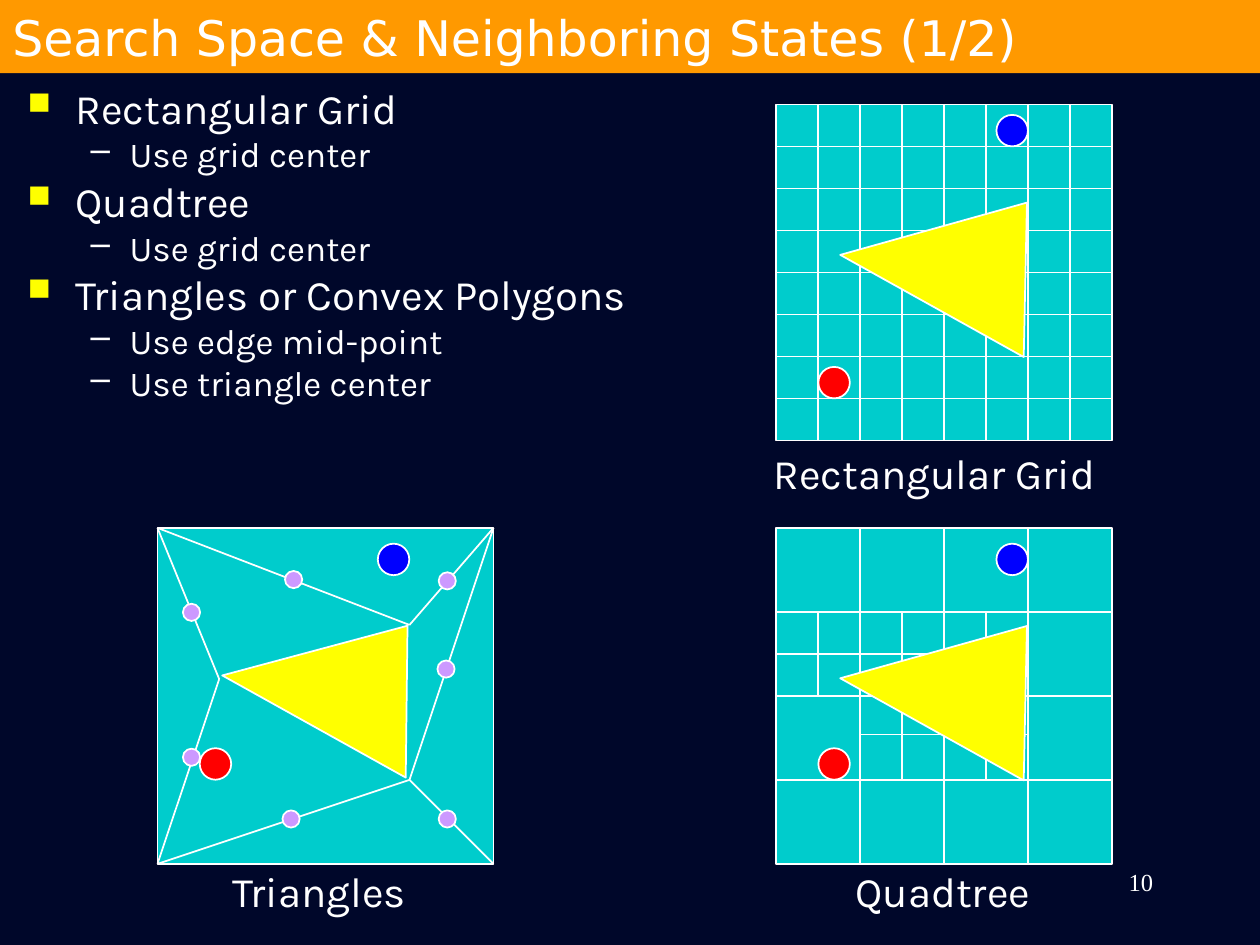
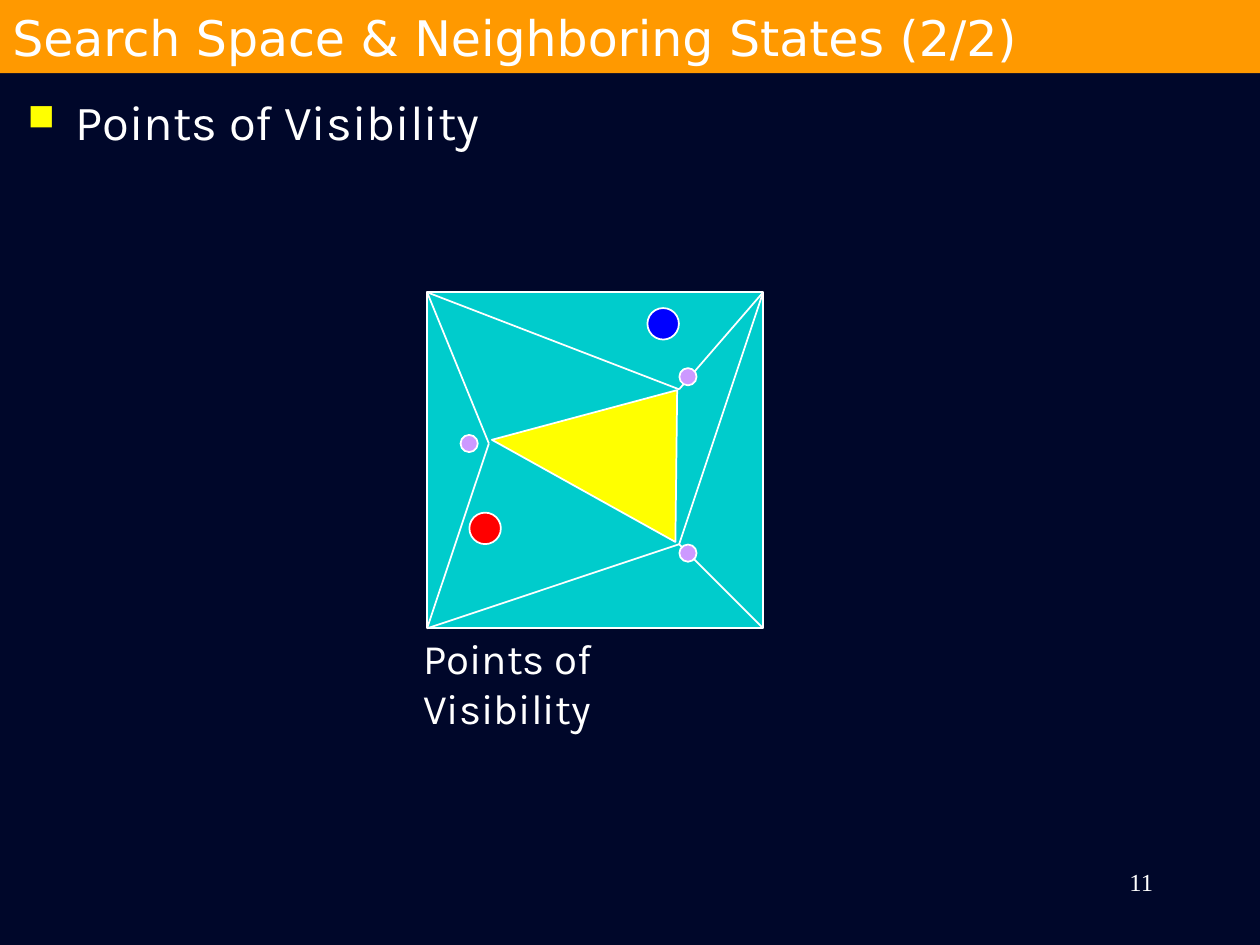
from lxml import etree
from pptx import Presentation
from pptx import util as u
from pptx.dml.color import RGBColor
from pptx.enum import shapes, text
from pptx.oxml.ns import qn

# Shared look
COLOURS = {
    "night": "00072A", "band": "FF9900", "white": "FFFFFF", "bullet": "FFFF00",
    "space": "00CCCC", "obstacle": "FFFF00", "start": "FF0000", "goal": "0000FF",
    "state": "CC99FF",
}
RGB = {name: RGBColor.from_string(value) for name, value in COLOURS.items()}
TITLE_FONT, BODY_FONT, NUMBER_FONT = "DejaVu Sans", "Karla", "Times New Roman"
WIDTH, HEIGHT = 10, 7.5
CELL = 1 / 3  # side of one grid cell, in inches
CELLS = 8     # cells along each side of a search space

# Bullet levels: left margin, hanging indent, character, colour, size in percent
LEVELS = [(0.38, -0.38, "■", "bullet", 75), (0.81, -0.31, "–", "white", 100)]

# Dividing lines in cells from the top left corner of a search space
rectangular = [line for n in range(1, CELLS)
               for line in ((n, 0, n, CELLS), (0, n, CELLS, n))]
quadtree = [line for n in (2, 4, 6)
            for line in ((n, 0, n, CELLS), (0, n, CELLS, n))]
quadtree += [(0, 3, 6, 3), (1, 2, 1, 4), (3, 2, 3, 6), (5, 2, 5, 6), (2, 4.92, 6, 4.92)]
triangles = [(0, 0, 1.47, 3.6), (1.47, 3.6, 0, 8), (0, 8, 6, 6), (6, 6, 8, 8),
             (6, 6, 8, 0), (6, 2.31, 8, 0), (6, 2.31, 0, 0)]

# Neighbouring states, as centres in cells
edge_states = [(0.81, 5.46), (0.81, 2.01), (3.24, 1.23), (6.9, 1.26),
               (3.18, 6.93), (6.9, 6.93), (6.87, 3.36)]
visible_states = [(1, 3.6), (6.21, 6.21), (6.21, 2.01)]

# Search spaces: left, top, lines, states, start row, goal row, obstacle height,
# then caption with its left, top and width
PAGES = [
    {"number": 10, "title": "Search Space & Neighboring States (1/2)",
     "spacing": 0.8, "sizes": (24, 20), "before": (6, 5),
     "points": [(0, "Rectangular Grid"), (1, "Use grid center"),
                (0, "Quadtree"), (1, "Use grid center"),
                (0, "Triangles or Convex Polygons"),
                (1, "Use edge mid-point"), (1, "Use triangle center")],
     "spaces": [
         (6.16, 0.83, rectangular, [], 6.62, 0.62, 3.25, "Rectangular Grid", 6.04, 3.5, 2.85),
         (6.16, 4.19, quadtree, [], 5.62, 0.75, 3.25, "Quadtree", 6.69, 6.82, 1.69),
         (1.25, 4.19, triangles, edge_states, 5.62, 0.75, 3.18, "Triangles", 1.75, 6.82, 1.64)]},
    {"number": 11, "title": "Search Space & Neighboring States (2/2)",
     "spacing": 1, "sizes": (28,), "before": (7,),
     "points": [(0, "Points of Visibility")],
     "spaces": [
         (3.39, 2.32, triangles, visible_states, 5.62, 0.75, 3.18,
          "Points of Visibility", 3.26, 4.97, 2.9)]},
]


def add_figure(slide, kind, left, top, width, height, fill, outlined=True):
    figure = slide.shapes.add_shape(kind, *map(u.Inches, (left, top, width, height)))
    figure.shadow.inherit = False
    figure.fill.solid()
    figure.fill.fore_color.rgb = RGB[fill]
    if outlined:
        figure.line.color.rgb = RGB["white"]
        figure.line.width = u.Pt(1)
    else:
        figure.line.fill.background()
    return figure


def write(paragraph, words, font, size):
    paragraph.text = words
    paragraph.font.name = font
    paragraph.font.size = u.Pt(size)
    paragraph.font.color.rgb = RGB["white"]


prs = Presentation()
prs.slide_width, prs.slide_height = u.Inches(WIDTH), u.Inches(HEIGHT)
backdrop = prs.slide_master.background.fill
backdrop.solid()
backdrop.fore_color.rgb = RGB["night"]

for page in PAGES:
    slide = prs.slides.add_slide(prs.slide_layouts[6])

    # Bulleted points
    body = slide.shapes.add_textbox(*map(u.Inches, (0.12, 0.68, 9.75, 2.82))).text_frame
    body.word_wrap = True
    for i, (level, words) in enumerate(page["points"]):
        point = body.add_paragraph() if i else body.paragraphs[0]
        point.level = level
        point.line_spacing = page["spacing"]
        point.space_before = u.Pt(page["before"][level])
        margin, hanging, mark, colour, percent = LEVELS[level]
        props = point._p.get_or_add_pPr()
        props.set("marL", str(u.Inches(margin)))
        props.set("indent", str(u.Inches(hanging)))
        tint = etree.SubElement(props, qn("a:buClr"))
        etree.SubElement(tint, qn("a:srgbClr"), val=COLOURS[colour])
        etree.SubElement(props, qn("a:buSzPct"), val=str(percent * 1000))
        etree.SubElement(props, qn("a:buChar"), char=mark)
        write(point, words, BODY_FONT, page["sizes"][level])

    # Slide number
    footer = slide.shapes.add_textbox(*map(u.Inches, (7.17, 6.83, 2.08, 0.5))).text_frame
    footer.word_wrap = True
    number = footer.paragraphs[0]
    number.alignment = text.PP_ALIGN.RIGHT
    number.space_before = u.Pt(8.8)
    write(number, str(page["number"]), NUMBER_FONT, 14)

    # Title band
    band = add_figure(slide, shapes.MSO_SHAPE.RECTANGLE, 0, 0, WIDTH, 0.58, "band", False)
    band.text_frame.vertical_anchor = text.MSO_ANCHOR.MIDDLE
    heading = band.text_frame.paragraphs[0]
    heading.alignment = text.PP_ALIGN.LEFT
    write(heading, page["title"], TITLE_FONT, 28)

    for (left, top, lines, states, start_row, goal_row, obstacle_height,
         caption, caption_left, caption_top, caption_width) in page["spaces"]:
        # Search space and its dividing lines
        side = CELLS * CELL
        add_figure(slide, shapes.MSO_SHAPE.RECTANGLE, left, top, side, side, "space")
        for x1, y1, x2, y2 in lines:
            divider = slide.shapes.add_connector(
                shapes.MSO_CONNECTOR.STRAIGHT,
                u.Inches(left + x1 * CELL), u.Inches(top + y1 * CELL),
                u.Inches(left + x2 * CELL), u.Inches(top + y2 * CELL))
            divider.line.color.rgb = RGB["white"]
            divider.line.width = u.Pt(1)
            etree.SubElement(divider._element.spPr, qn("a:effectLst"))

        # Obstacle
        obstacle = add_figure(slide, shapes.MSO_SHAPE.ISOSCELES_TRIANGLE,
                              left + 2 * CELL, top + 1.75 * CELL,
                              5 * CELL, obstacle_height * CELL, "obstacle")
        obstacle.adjustments[0] = 0.656
        obstacle.rotation = 29.1

        # Start, goal and neighbouring states
        dots = [(1.38, start_row, 0.75, "start"), (5.62, goal_row, 0.75, "goal")]
        dots += [(x, y, 0.41, "state") for x, y in states]
        for x, y, size, role in dots:
            add_figure(slide, shapes.MSO_SHAPE.OVAL,
                       left + (x - size / 2) * CELL, top + (y - size / 2) * CELL,
                       size * CELL, size * CELL, role)

        # Caption
        label = slide.shapes.add_textbox(
            *map(u.Inches, (caption_left, caption_top, caption_width, 0.5))).text_frame
        label.word_wrap = True
        write(label.paragraphs[0], caption, BODY_FONT, 24)

prs.save("out.pptx")
